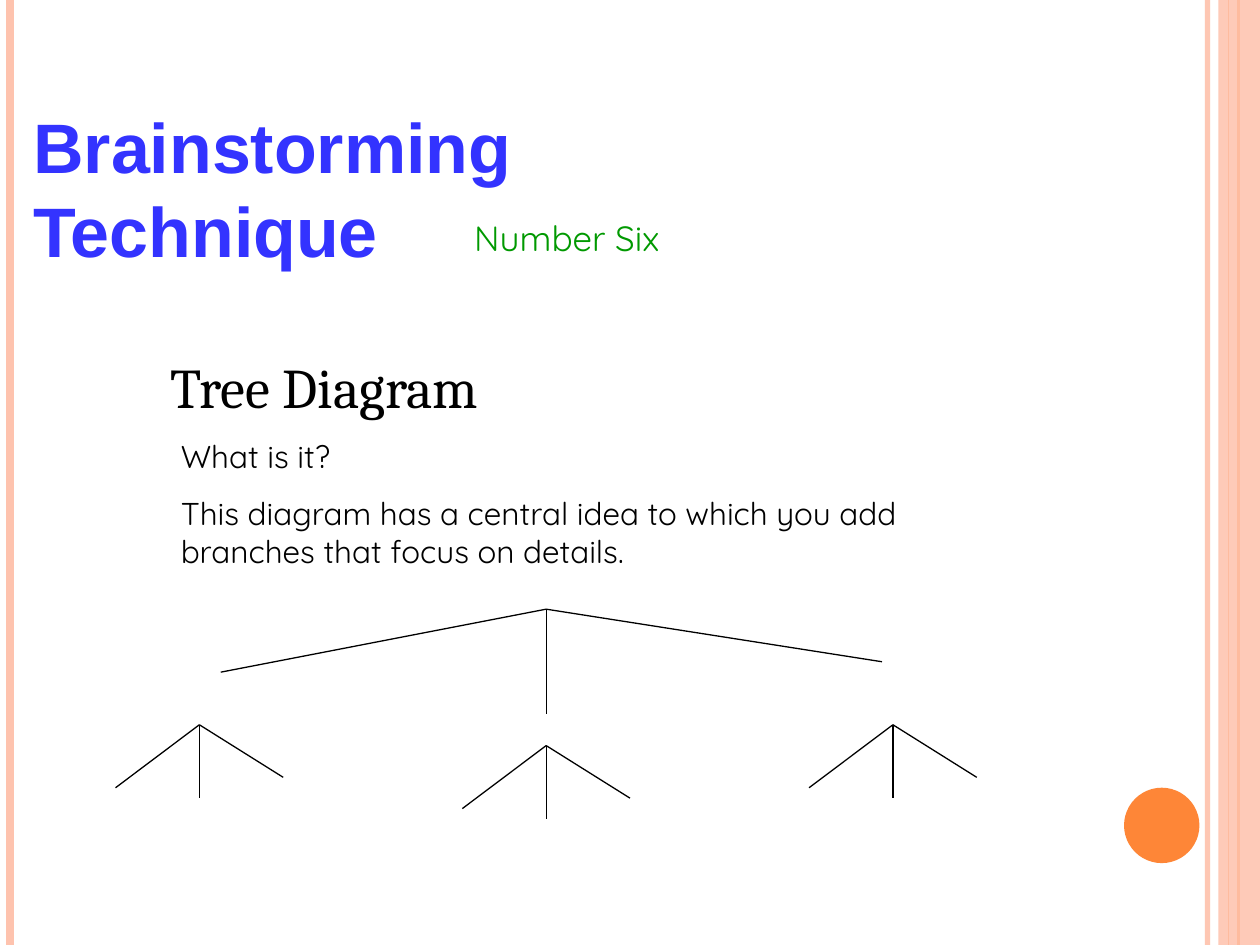
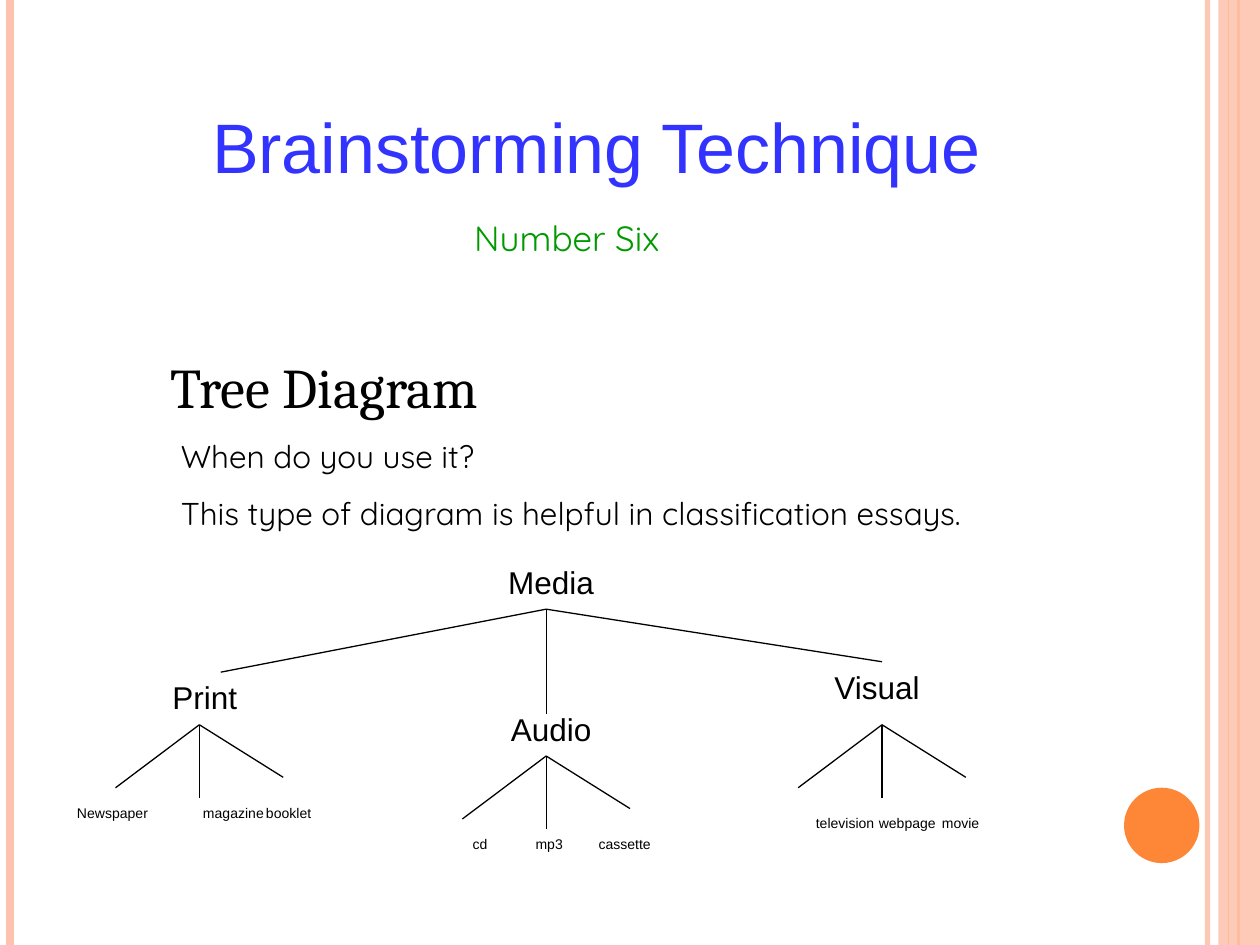
from dataclasses import dataclass
from typing import NamedTuple

from lxml.etree import SubElement
from pptx import Presentation
from pptx.dml.color import RGBColor
from pptx.enum.shapes import MSO_CONNECTOR, MSO_SHAPE
from pptx.enum.text import MSO_ANCHOR, MSO_AUTO_SIZE, PP_ALIGN
from pptx.oxml.ns import qn
from pptx.util import Cm, Pt

# Shared look
ORANGE, PEACH, BLACK = "FE8637", "FEC3AE", "000000"
BLUE, GREEN = "3333FF", "009900"
PAGE_WIDTH, PAGE_HEIGHT = 25.4, 19.05
TAB_STEP = 2.54


class Point(NamedTuple):
    x: float
    y: float


class Area(NamedTuple):
    left: float
    top: float
    width: float
    height: float


class Rule(NamedTuple):
    x: float
    color: str
    width: float
    opacity: int = 100


@dataclass(frozen=True)
class TextStyle:
    font: str
    size: float
    color: str = BLACK
    bold: bool = False
    align: PP_ALIGN = PP_ALIGN.LEFT
    pitch: float | None = 1.2  # line height as a multiple of the size
    gap: float = 0  # points between paragraphs
    tabs: int = 0


@dataclass(frozen=True)
class Label:
    text: str
    area: Area
    style: TextStyle


@dataclass(frozen=True)
class TreePage:
    title_area: Area
    title_bold: bool
    body: list[str]
    body_height: float
    twig_hubs: list[Point]
    labels: list[Label]


NUMBER = TextStyle("Quicksand", 20, GREEN)
HEADING = TextStyle("Cambria", 32, pitch=None)
BODY = TextStyle("Quicksand", 18, gap=11.2)
NODE = TextStyle("Arial", 18, align=PP_ALIGN.CENTER)
LEAVES = TextStyle("Arial", 8, align=PP_ALIGN.CENTER, tabs=2)

RULES = [
    Rule(24.34, PEACH, 3, 93),
    Rule(0.21, PEACH, 4.5),
    Rule(24.97, ORANGE, 1.5),
    Rule(24.77, ORANGE, 0.75),
]
SHARED_LABELS = [
    Label("Number Six", Area(9.31, 4.23, 8.89, 1.12), NUMBER),
    Label("Tree Diagram", Area(3.18, 6.99, 10.8, 1.63), HEADING),
]

# Tree: offsets of the line ends from their hub
TRUNK_HUB = Point(11.01, 12.28)
BRANCHES = [Point(-6.56, 1.27), Point(0, 2.12), Point(6.77, 1.06)]
TWIGS = [Point(-1.69, 1.27), Point(0, 1.48), Point(1.69, 1.06)]


def node(text: str, left: float, top: float, width: float = 3.6) -> Label:
    return Label(text, Area(left, top, width, 1.02), NODE)


def leaves(names: list[str], left: float, top: float) -> Label:
    return Label("\t".join(names), Area(left, top, 7.83, 0.61), LEAVES)


PAGES = [
    TreePage(
        title_area=Area(0.42, 1.95, 17.3, 3.66),
        title_bold=True,
        body=[
            "What is it?",
            "This diagram has a central idea to which you add "
            "branches that focus on details.",
        ],
        body_height=2.95,
        twig_hubs=[Point(4.02, 14.61), Point(18, 14.61), Point(11.01, 15.03)],
        labels=[],
    ),
    TreePage(
        title_area=Area(4.02, 1.95, 18.84, 1.96),
        title_bold=False,
        body=[
            "When do you use it?",
            "This type of diagram is helpful in classification essays.",
        ],
        body_height=2.18,
        twig_hubs=[Point(4.02, 14.61), Point(11.01, 15.24), Point(17.78, 14.61)],
        labels=[
            node("Media", 8.04, 11.22, 6.14),
            node("Print", 2.33, 13.55),
            node("Visual", 15.88, 13.34),
            node("Audio", 9.31, 14.18),
            leaves(["Newspaper", "magazine", "booklet"], 0, 16.09),
            leaves(["television", "webpage", "movie"], 14.18, 16.3),
            leaves(["cd", "mp3", "cassette"], 7.41, 16.72),
        ],
    ),
]


def rgb(color: str) -> RGBColor:
    return RGBColor.from_string(color)


def set_opacity(element, percent: int) -> None:
    """Make the solid colour inside a fill or line partly transparent."""
    if percent < 100:
        color = element.find(".//" + qn("a:srgbClr"))
        SubElement(color, qn("a:alpha"), val=str(percent * 1000))


def add_line(shapes, start: Point, end: Point, color: str = BLACK,
             width: float = 0.75, opacity: int = 100) -> None:
    line = shapes.add_connector(
        MSO_CONNECTOR.STRAIGHT, Cm(start.x), Cm(start.y), Cm(end.x), Cm(end.y))
    line.line.color.rgb = rgb(color)
    line.line.width = Pt(width)
    properties = line._element.spPr
    set_opacity(properties, opacity)
    SubElement(properties, qn("a:effectLst"))


def add_filled(page, kind: MSO_SHAPE, area: Area, color: str,
               opacity: int = 100) -> None:
    shape = page.shapes.add_shape(kind, *map(Cm, area))
    shape.shadow.inherit = False
    shape.fill.solid()
    shape.fill.fore_color.rgb = rgb(color)
    shape.line.fill.background()
    set_opacity(shape._element.spPr, opacity)


def write(box, area: Area, texts: list[str], style: TextStyle) -> None:
    """Place a text box or placeholder and fill it with plain paragraphs."""
    box.left, box.top, box.width, box.height = map(Cm, area)
    frame = box.text_frame
    frame.word_wrap = True
    frame.auto_size = MSO_AUTO_SIZE.SHAPE_TO_FIT_TEXT
    frame.vertical_anchor = MSO_ANCHOR.TOP
    for index, text in enumerate(texts):
        para = frame.add_paragraph() if index else frame.paragraphs[0]
        para.text = text
        properties = para._p.get_or_add_pPr()
        properties.set("marL", "0")
        properties.set("indent", "0")
        SubElement(properties, qn("a:buNone"))
        if style.tabs:
            stops = SubElement(properties, qn("a:tabLst"))
            for stop in range(1, style.tabs + 1):
                SubElement(stops, qn("a:tab"), pos=str(Cm(stop * TAB_STEP)), algn="l")
        para.alignment = style.align
        para.space_before = Pt(style.gap if index else 0)
        if style.pitch:
            para.line_spacing = Pt(style.size * style.pitch)
        para.font.name = style.font
        para.font.size = Pt(style.size)
        para.font.bold = style.bold
        para.font.color.rgb = rgb(style.color)


def add_frame(page) -> None:
    """Side rules, right band and corner dot."""
    for rule in RULES:
        add_line(page.shapes, Point(rule.x, 0), Point(rule.x, PAGE_HEIGHT),
                 rule.color, rule.width, rule.opacity)
    add_filled(page, MSO_SHAPE.RECTANGLE,
               Area(24.56, 0, PAGE_WIDTH - 24.56, PAGE_HEIGHT), PEACH, 87)
    add_filled(page, MSO_SHAPE.OVAL, Area(22.66, 15.88, 1.52, 1.52), ORANGE)


def add_fan(page, hub: Point, offsets: list[Point]) -> None:
    """A group of lines spreading from one hub."""
    group = page.shapes.add_group_shape()
    for offset in offsets:
        add_line(group.shapes, hub, Point(hub.x + offset.x, hub.y + offset.y))


def add_tree_page(deck, content: TreePage) -> None:
    page = deck.slides.add_slide(deck.slide_layouts[1])
    add_frame(page)

    # Title and body
    title_style = TextStyle("Arial", 40, BLUE, content.title_bold)
    write(page.shapes.title, content.title_area,
          ["Brainstorming Technique"], title_style)
    write(page.placeholders[1], Area(3.39, 8.68, 17.78, content.body_height),
          content.body, BODY)

    # Tree lines
    add_fan(page, TRUNK_HUB, BRANCHES)
    for hub in content.twig_hubs:
        add_fan(page, hub, TWIGS)

    # Headings and tree labels
    for label in SHARED_LABELS + content.labels:
        box = page.shapes.add_textbox(*map(Cm, label.area))
        write(box, label.area, [label.text], label.style)


def main() -> None:
    deck = Presentation()
    deck.slide_width, deck.slide_height = Cm(PAGE_WIDTH), Cm(PAGE_HEIGHT)
    for content in PAGES:
        add_tree_page(deck, content)
    deck.save("out.pptx")


if __name__ == "__main__":
    main()
